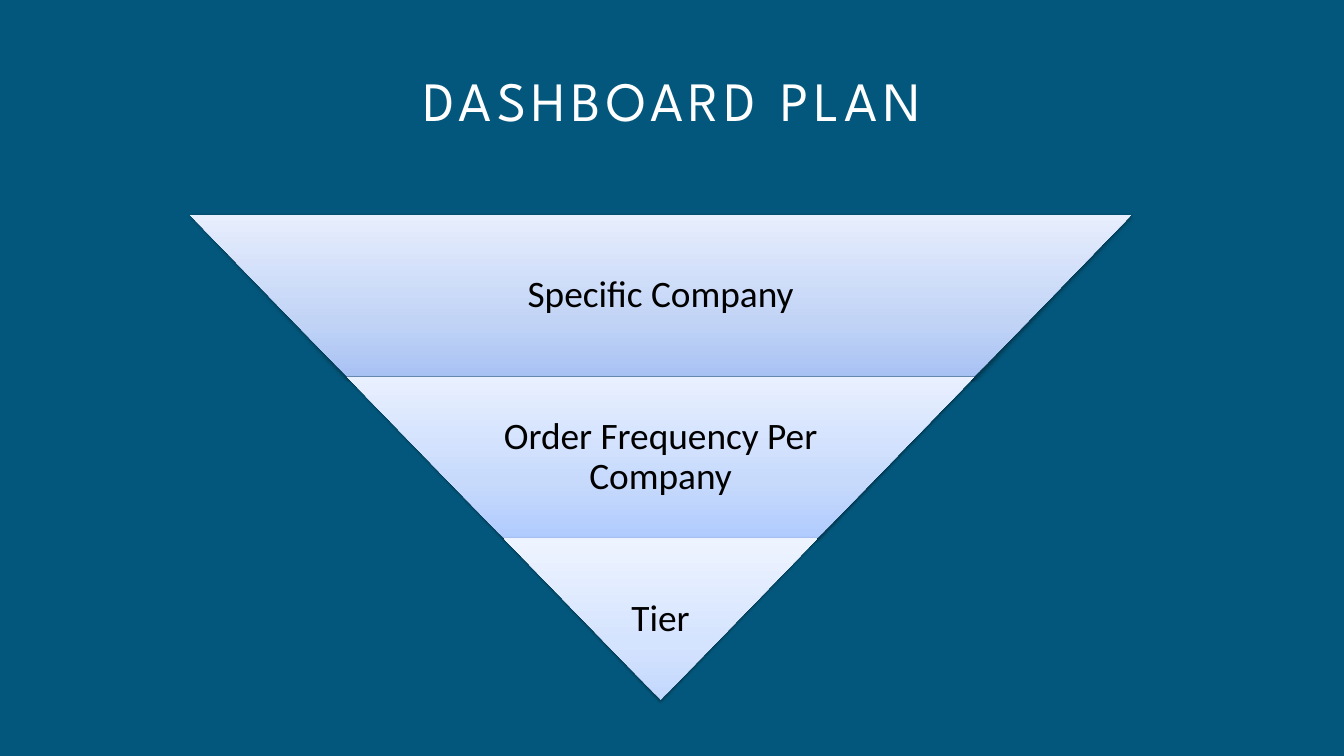
from lxml import etree
from pptx import Presentation
from pptx.dml.color import RGBColor
from pptx.enum.shapes import MSO_SHAPE
from pptx.enum.text import MSO_ANCHOR, MSO_AUTO_SIZE, PP_ALIGN
from pptx.oxml import parse_xml
from pptx.util import Cm, Pt

TITLE = "DASHBOARD PLAN"
TIERS = [
    ("Specific Company", ("A8C2F4", "C2D4F6", "E7EEFD"), 0.65),
    ("Order Frequency Per Company", ("B0CBFD", "C7DAFC", "E9F0FF"), 0.65),
    ("Tier", ("C3D8FE", "D4E3FE", "EEF4FF"), 1),
]
STOPS = (0, 35, 100)

BLUE = RGBColor(0x04, 0x57, 0x7C)
WHITE = RGBColor(0xFF, 0xFF, 0xFF)
BLACK = RGBColor(0, 0, 0)
TRAP = MSO_SHAPE.TRAPEZOID
CENTER = PP_ALIGN.CENTER
TOP, MIDDLE = MSO_ANCHOR.TOP, MSO_ANCHOR.MIDDLE
NOFIT = MSO_AUTO_SIZE.NONE

HEAD = {"name": "League Spartan", "size": Pt(59.4), "bold": False}
BODY = {"name": "Calibri", "size": Pt(40)}
LEFT, HIGH, WIDE, STEP = 7.19, 8.13, 35.56, 6.11
NS = "http://schemas.openxmlformats.org/drawingml/2006/main"


def put(shape, text, look, color, anchor, inset, lead):
    frame = shape.text_frame
    frame.text = text
    form = {"word_wrap": True, "auto_size": NOFIT, "vertical_anchor": anchor}
    for side in ("left", "top", "right", "bottom"):
        form["margin_" + side] = Cm(inset)
    for key, value in form.items():
        setattr(frame, key, value)
    para = frame.paragraphs[0]
    para.alignment = CENTER
    para.line_spacing = lead
    font = para.runs[0].font
    for key, value in look.items():
        setattr(font, key, value)
    font.color.rgb = color
    return para.runs[0]


def shade(shape, colors):
    stops = "".join(
        f'<a:gs pos="{pos * 1000}"><a:srgbClr val="{color}"/></a:gs>'
        for pos, color in zip(STOPS, colors))
    fill = parse_xml(
        f'<a:gradFill xmlns:a="{NS}" rotWithShape="0"><a:gsLst>{stops}</a:gsLst>'
        '<a:lin ang="16200000" scaled="0"/></a:gradFill>')
    shape.line.fill.background()
    shape.shadow.inherit = False
    props = shape.element.spPr
    props.find(f"{{{NS}}}prstGeom").addnext(fill)
    cast = etree.SubElement(
        props.find(f"{{{NS}}}effectLst"), f"{{{NS}}}outerShdw",
        blurRad=str(Pt(3.1)), dist=str(Pt(1.6)), dir="5400000", rotWithShape="0")
    tint = etree.SubElement(cast, f"{{{NS}}}srgbClr", val="000000")
    etree.SubElement(tint, f"{{{NS}}}alpha", val="38000")


def main():
    deck = Presentation()
    deck.slide_width, deck.slide_height = Cm(50.8), Cm(28.58)
    slide = deck.slides.add_slide(deck.slide_layouts[5])
    back = slide.background.fill
    back.solid()
    back.fore_color.rgb = BLUE

    title = slide.shapes.title
    place = {"left": 10.54, "top": 2.13, "width": 29.74, "height": 2.97}
    for key, value in place.items():
        setattr(title, key, Cm(value))
    run = put(title, TITLE, HEAD, WHITE, TOP, 0, Pt(82))
    run.font._element.set("spc", "580")

    count = len(TIERS)
    mid = LEFT + WIDE / 2
    for row, (text, colors, part) in enumerate(TIERS):
        width = WIDE * (count - row) / count
        top = HIGH + row * STEP
        band = slide.shapes.add_shape(
            TRAP, Cm(mid - width / 2), Cm(top), Cm(width), Cm(STEP))
        band.adjustments[0] = WIDE / count / 2 / STEP
        band.rotation = 180
        shade(band, colors)
        span = width * part
        label = slide.shapes.add_textbox(
            Cm(mid - span / 2), Cm(top), Cm(span), Cm(STEP))
        put(label, text, BODY, BLACK, MIDDLE, 0.15, 0.9)

    deck.save("out.pptx")


if __name__ == "__main__":
    main()
